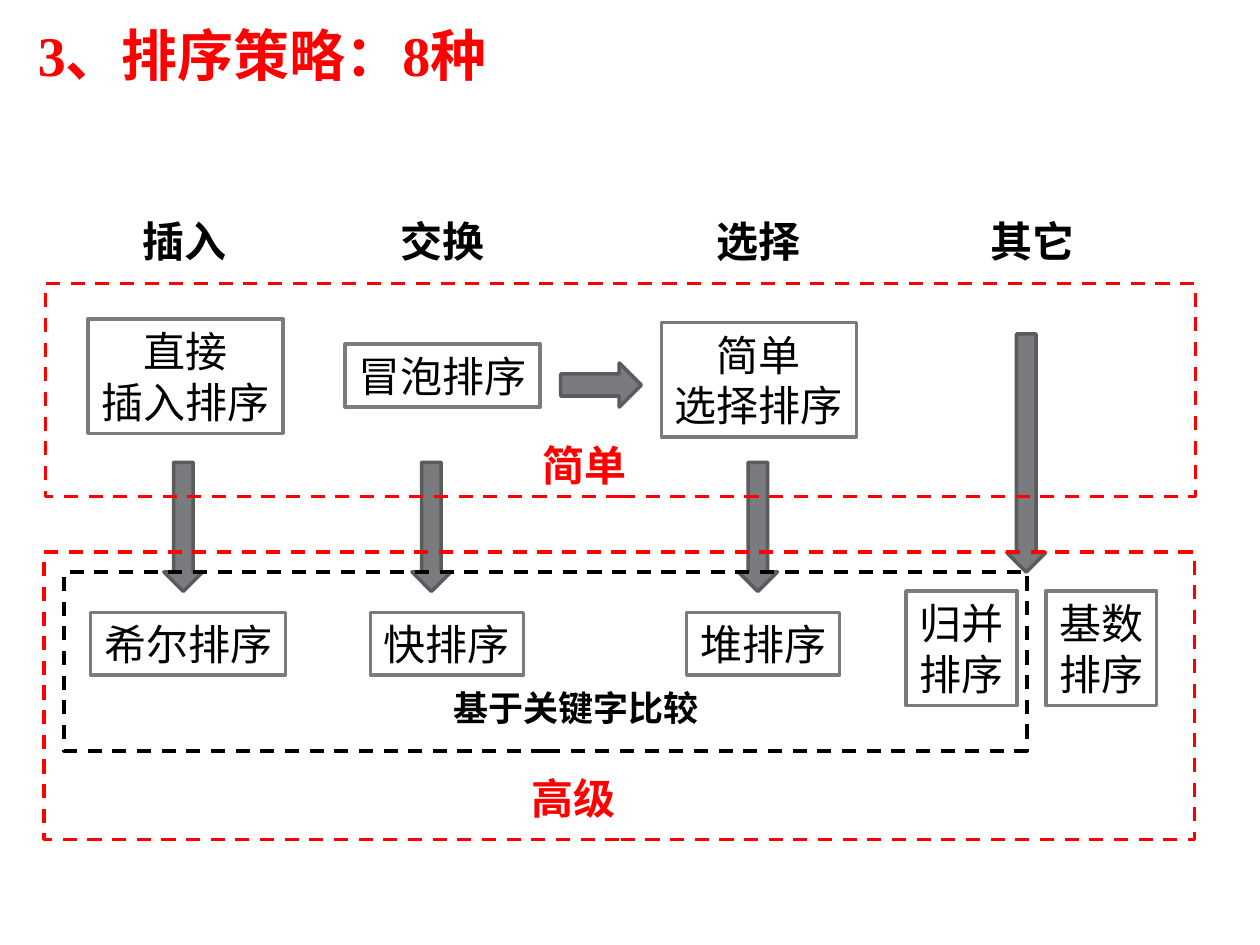
from pptx import Presentation
from pptx.dml.color import RGBColor
from pptx.enum.dml import MSO_LINE
from pptx.enum.shapes import MSO_SHAPE as Shape
from pptx.enum.text import MSO_ANCHOR as Anchor, MSO_AUTO_SIZE as AutoSize, PP_ALIGN as Align
from pptx.util import Pt

COLORS = {"red": "FF0000", "black": "000000", "gray": "797B7E", "dark": "5A5B5D"}
FONT = "Times New Roman"
TITLE_ONLY = 5


class SlideBuilder:
    def __init__(self, presentation):
        self.slide = presentation.slides.add_slide(presentation.slide_layouts[TITLE_ONLY])

    def color(self, name):
        return RGBColor.from_string(COLORS[name])

    def set_text(self, shape, text, size=24, color="black", bold=False, align=Align.LEFT, wrap=False):
        frame = shape.text_frame
        frame.text = text
        frame.word_wrap = wrap
        frame.auto_size = AutoSize.SHAPE_TO_FIT_TEXT
        for paragraph in frame.paragraphs:
            paragraph.alignment = align
            paragraph.font.name = FONT
            paragraph.font.size = Pt(size)
            paragraph.font.bold = bold
            paragraph.font.color.rgb = self.color(color)

    def title(self, text, left, top, width, height):
        title = self.slide.shapes.title
        title.left, title.top, title.width, title.height = map(Pt, (left, top, width, height))
        self.set_text(title, text, 32, "red", bold=True, wrap=True)
        title.text_frame.vertical_anchor = Anchor.TOP

    def label(self, text, left, top, width=63.4, height=36, size=24, color="black"):
        box = self.slide.shapes.add_textbox(Pt(left), Pt(top), Pt(width), Pt(height))
        self.set_text(box, text, size, color, bold=True)

    def outline(self, kind, left, top, width, height, line, fill=None):
        shape = self.slide.shapes.add_shape(kind, Pt(left), Pt(top), Pt(width), Pt(height))
        shape.shadow.inherit = False
        if fill:
            shape.fill.solid()
            shape.fill.fore_color.rgb = self.color(fill)
        else:
            shape.fill.background()
        shape.line.color.rgb = self.color(line)
        shape.line.width = Pt(2)
        return shape

    def sort_box(self, text, left, top):
        """Draw a box sized by its longest line and its number of lines."""
        lines = text.split("\n")
        width = 15.4 + 24 * max(map(len, lines))
        height = 36 if len(lines) == 1 else 65.4
        shape = self.outline(Shape.RECTANGLE, left, top, width, height, "gray")
        self.set_text(shape, text, align=Align.CENTER)

    def arrow(self, kind, left, top, width, height):
        self.outline(kind, left, top, width, height, "dark", "gray")

    def dashed_frame(self, left, top, width, height, color):
        frame = self.outline(Shape.RECTANGLE, left, top, width, height, color)
        frame.line.dash_style = MSO_LINE.DASH


def main():
    presentation = Presentation()
    presentation.slide_width, presentation.slide_height = Pt(720), Pt(540)
    builder = SlideBuilder(presentation)
    builder.title("3、排序策略：8种", 14.4, 7.9, 453.6, 46)

    for text, left in (("插入", 74.2), ("交换", 221.8), ("选择", 402.5), ("其它", 558.7)):
        builder.label(text, left, 119.5)

    for text, left, top in (
        ("直接\n插入排序", 50.4, 182.2),
        ("冒泡排序", 197.3, 196.6),
        ("简单\n选择排序", 378, 184.3),
        ("希尔排序", 51.8, 349.9),
        ("快排序", 211.7, 349.9),
        ("堆排序", 392.4, 349.9),
        ("归并\n排序", 517.7, 337.7),
        ("基数\n排序", 597.6, 337.7),
    ):
        builder.sort_box(text, left, top)

    for left in (93.6, 235.4, 421.9):
        builder.arrow(Shape.DOWN_ARROW, left, 264.2, 22.3, 73.8)
    builder.arrow(Shape.DOWN_ARROW, 575.3, 190.8, 22.3, 136.1)
    builder.arrow(Shape.RIGHT_ARROW, 320.4, 207.4, 46.1, 25.2)

    builder.dashed_frame(25.2, 315.4, 657.4, 164.2, "red")
    builder.dashed_frame(25.9, 162, 657.4, 121.7, "red")
    builder.dashed_frame(36.7, 326.9, 550.1, 102.2, "black")

    builder.label("高级", 296.6, 437.8, color="red")
    builder.label("简单", 303.1, 247.7, color="red")
    builder.label("基于关键字比较", 252, 388.8, 157, 31.7, size=20)

    presentation.save("out.pptx")


if __name__ == "__main__":
    main()
